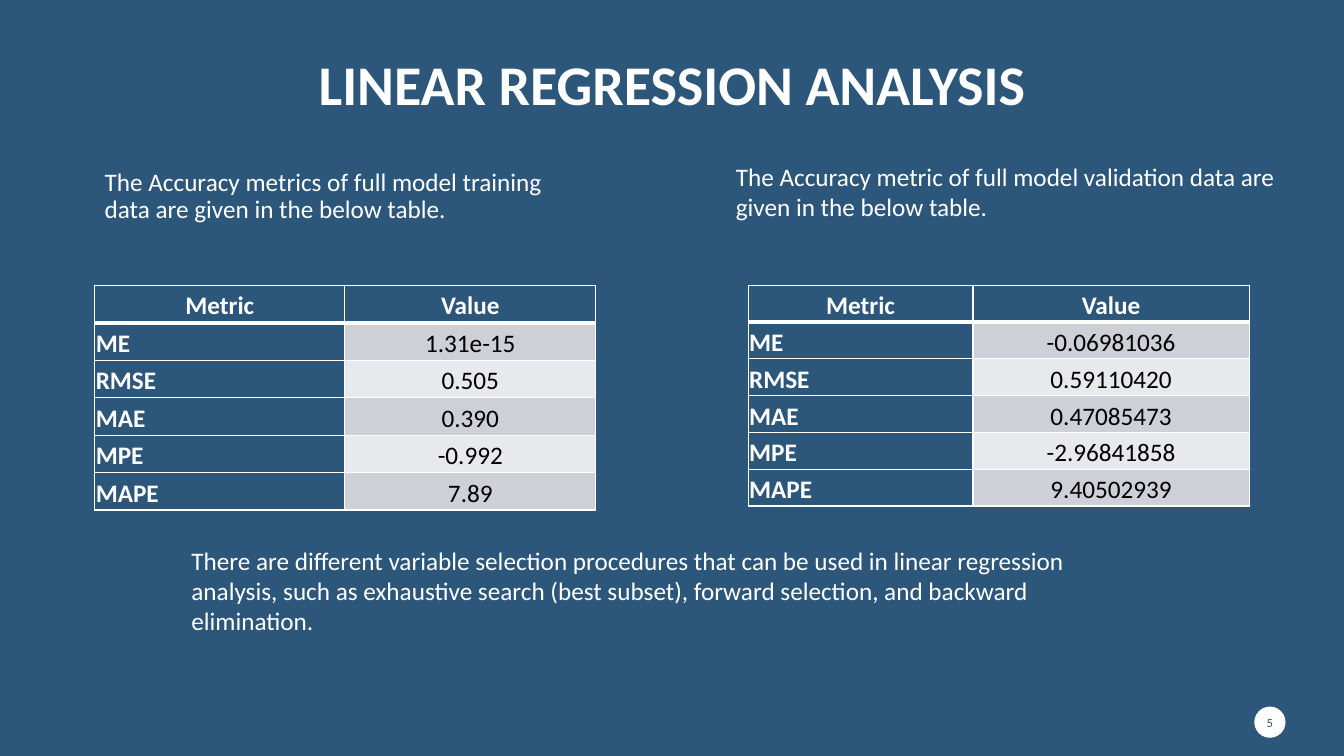
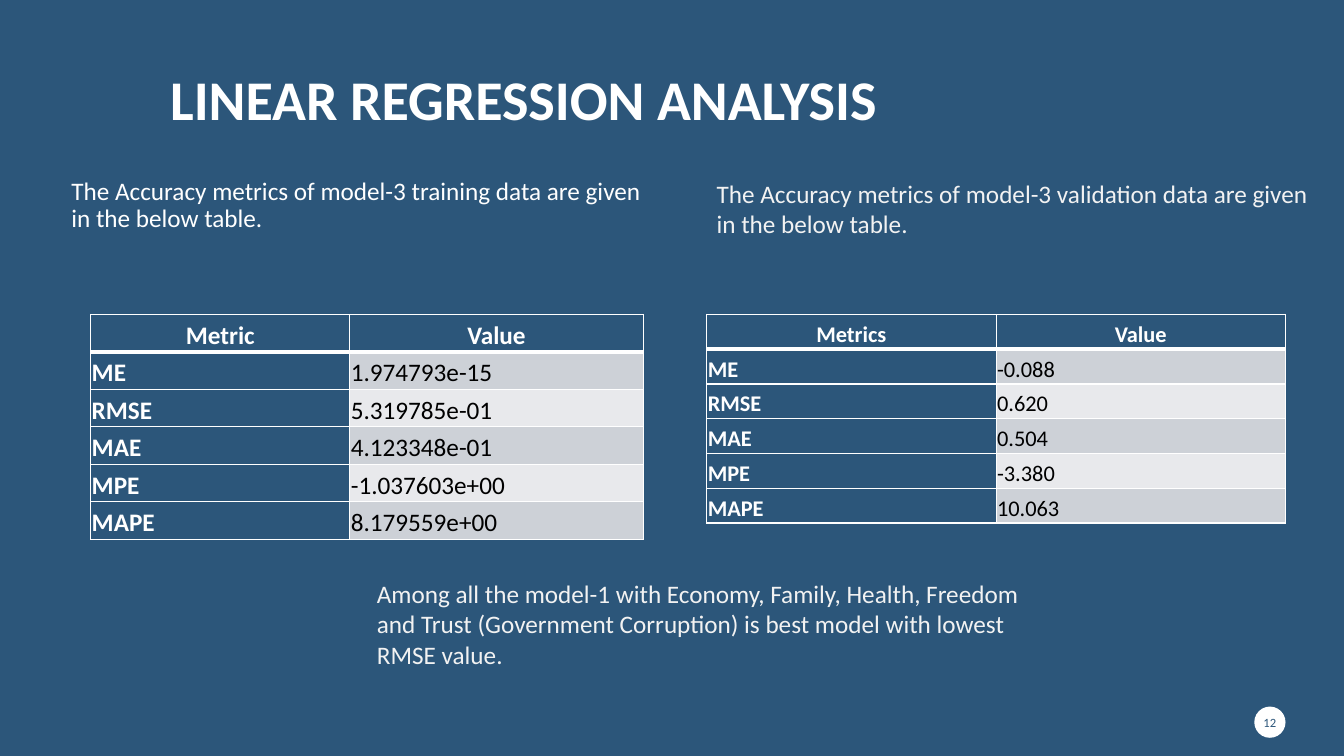
from dataclasses import dataclass

from lxml import etree
from pptx import Presentation
from pptx.dml.color import RGBColor
from pptx.enum.shapes import MSO_SHAPE
from pptx.enum.text import MSO_ANCHOR, PP_ALIGN
from pptx.oxml.ns import qn
from pptx.util import Inches, Pt

LEFT, CENTER = PP_ALIGN.LEFT, PP_ALIGN.CENTER
TOP, MIDDLE, BOTTOM = MSO_ANCHOR.TOP, MSO_ANCHOR.MIDDLE, MSO_ANCHOR.BOTTOM
OVAL = MSO_SHAPE.OVAL
BLANK_LAYOUT = 6


@dataclass(frozen=True)
class Theme:
    font: str = "Calibri"
    navy: str = "2C567A"
    white: str = "FFFFFF"
    soft_white: str = "F2F2F2"
    black: str = "000000"
    bands: tuple = ("CDD1D7", "E8E9EC")
    title_size: int = 40
    body_size: int = 18
    small_table_size: int = 16
    number_size: int = 9
    border: int = 1
    header_rule: int = 3
    tight: float = 0.9
    table_spacing: float = 1.15
    cell_inset: float = 0.01


THEME = Theme()
METRICS = ("ME", "RMSE", "MAE", "MPE", "MAPE")


def write_text(text_frame, text, size, color, bold=False, align=LEFT, spacing=1.0):
    text_frame.text = text
    paragraph = text_frame.paragraphs[0]
    paragraph.alignment = align
    paragraph.line_spacing = spacing
    font = paragraph.runs[0].font
    font.name = THEME.font
    font.size = Pt(size)
    font.bold = bold
    font.color.rgb = RGBColor.from_string(color)


def add_text(slide, box, text, size=THEME.body_size, color=THEME.white,
             anchor=TOP, **style):
    text_frame = slide.shapes.add_textbox(*map(Inches, box)).text_frame
    text_frame.word_wrap = True
    text_frame.vertical_anchor = anchor
    write_text(text_frame, text, size, color, **style)


def add_title(slide, box, text, align):
    add_text(slide, box, text, size=THEME.title_size, anchor=BOTTOM,
             bold=True, align=align, spacing=THEME.tight)


def add_page_number(slide, number):
    badge = slide.shapes.add_shape(OVAL, *map(Inches, (12.44, 7.01, 0.31, 0.31)))
    badge.shadow.inherit = False
    badge.fill.solid()
    badge.fill.fore_color.rgb = RGBColor.from_string(THEME.white)
    badge.line.fill.background()
    text_frame = badge.text_frame
    text_frame.margin_left = text_frame.margin_right = 0
    text_frame.margin_top = text_frame.margin_bottom = 0
    text_frame.word_wrap = False
    text_frame.vertical_anchor = MIDDLE
    write_text(text_frame, str(number), THEME.number_size, THEME.navy, align=CENTER)


def set_borders(cell, top, bottom):
    properties = cell._tc.get_or_add_tcPr()
    widths = {"a:lnL": THEME.border, "a:lnR": THEME.border, "a:lnT": top, "a:lnB": bottom}
    for tag, width in widths.items():
        line = etree.SubElement(properties, qn(tag), w=str(Pt(width)))
        fill = etree.SubElement(line, qn("a:solidFill"))
        etree.SubElement(fill, qn("a:srgbClr"), val=THEME.white)


def format_cell(cell, text, row, column, size, value_align):
    is_header = row == 0
    is_value = column == 1 and not is_header
    set_borders(cell,
                top=THEME.header_rule if row == 1 else THEME.border,
                bottom=THEME.header_rule if is_header else THEME.border)
    cell.fill.solid()
    fill = THEME.bands[(row - 1) % 2] if is_value else THEME.navy
    cell.fill.fore_color.rgb = RGBColor.from_string(fill)
    cell.margin_left = cell.margin_right = Inches(THEME.cell_inset)
    cell.margin_top = cell.margin_bottom = Inches(THEME.cell_inset)
    cell.vertical_anchor = BOTTOM
    align = CENTER if is_header else value_align if is_value else LEFT
    write_text(cell.text_frame, text, size, THEME.black if is_value else THEME.white,
               bold=not is_value, align=align, spacing=THEME.table_spacing)


def add_metric_table(slide, box, metric_width, values, heading="Metric",
                     size=THEME.body_size, value_align=LEFT):
    rows = [(heading, "Value"), *zip(METRICS, values)]
    table = slide.shapes.add_table(len(rows), 2, *map(Inches, box)).table
    table.horz_banding = False
    table.columns[0].width = Inches(metric_width)
    table.columns[1].width = Inches(box[2] - metric_width)
    for row, texts in enumerate(rows):
        for column, text in enumerate(texts):
            format_cell(table.cell(row, column), text, row, column, size, value_align)


def new_slide(presentation, number):
    slide = presentation.slides.add_slide(presentation.slide_layouts[BLANK_LAYOUT])
    add_page_number(slide, number)
    return slide


def build_full_model(presentation):
    slide = new_slide(presentation, 5)
    add_title(slide, (1.14, 0.45, 11.05, 0.77), "LINEAR REGRESSION ANALYSIS", CENTER)
    add_text(slide, (0.94, 1.63, 4.97, 0.63),
             "The Accuracy metrics of full model training data are given in the below table.",
             spacing=THEME.tight)
    add_metric_table(slide, (0.94, 2.83, 4.97, 2.23), 2.48,
                     ("1.31e-15", "0.505", "0.390", "-0.992", "7.89"),
                     value_align=CENTER)
    add_text(slide, (7.2, 1.55, 5.55, 0.71),
             "The Accuracy metric of full model validation data are given in the below table.")
    add_metric_table(slide, (7.42, 2.83, 4.97, 2.19), 2.23,
                     ("-0.06981036", "0.59110420", "0.47085473", "-2.96841858", "9.40502939"),
                     value_align=CENTER)
    add_text(slide, (1.8, 5.36, 9.72, 1.01),
             "There are different variable selection procedures that can be used in linear "
             "regression analysis, such as exhaustive search (best subset), forward "
             "selection, and backward elimination.")


def build_model_three(presentation):
    slide = new_slide(presentation, 12)
    add_title(slide, (1.59, 0.6, 10.83, 0.77), "LINEAR REGRESSION ANALYSIS", LEFT)
    add_text(slide, (0.61, 1.72, 6.06, 0.39),
             "The Accuracy metrics of model-3 training data are given in the below table.",
             spacing=THEME.tight)
    add_metric_table(slide, (0.9, 3.12, 5.48, 2.23), 2.57,
                     ("1.974793e-15", "5.319785e-01", "4.123348e-01",
                      "-1.037603e+00", "8.179559e+00"))
    add_text(slide, (7.01, 1.72, 6.2, 0.71),
             "The Accuracy metrics of model-3 validation data are given in the below table.",
             color=THEME.soft_white)
    add_metric_table(slide, (7.01, 3.12, 5.74, 2.07), 2.87,
                     ("-0.088", "0.620", "0.504", "-3.380", "10.063"),
                     heading="Metrics", size=THEME.small_table_size)
    add_text(slide, (3.64, 5.69, 6.67, 1.01),
             "Among all the model-1 with Economy, Family, Health, Freedom and Trust "
             "(Government Corruption) is best model with lowest RMSE value.",
             color=THEME.soft_white)


def main():
    presentation = Presentation()
    presentation.slide_width = Inches(13.33)
    presentation.slide_height = Inches(7.5)
    background = presentation.slide_master.background.fill
    background.solid()
    background.fore_color.rgb = RGBColor.from_string(THEME.navy)
    build_full_model(presentation)
    build_model_three(presentation)
    presentation.save("out.pptx")


if __name__ == "__main__":
    main()
